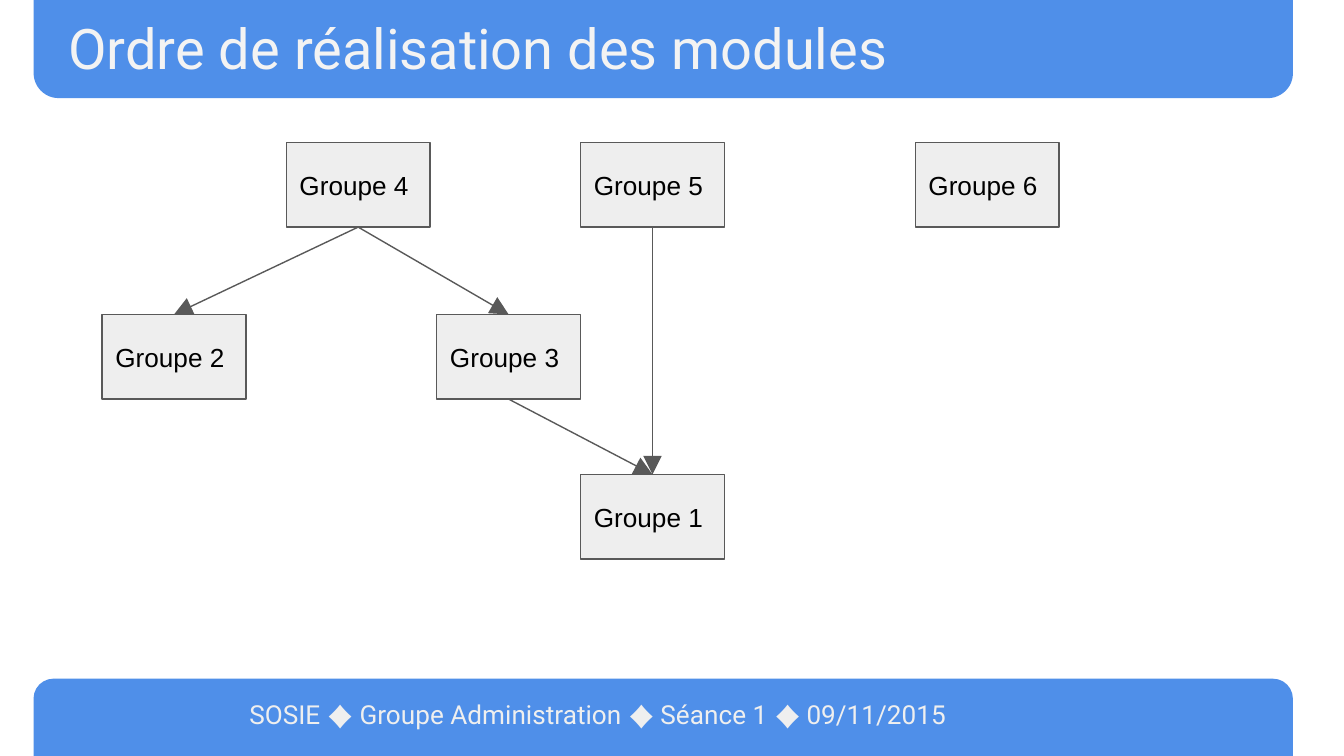
"""Build the slide showing the order in which the module groups are realised."""
import lxml.etree
import pptx
import pptx.dml.color
import pptx.enum.shapes
import pptx.enum.text
import pptx.oxml.ns
import pptx.util

Inches = pptx.util.Inches
Pt = pptx.util.Pt
MSO_SHAPE = pptx.enum.shapes.MSO_SHAPE
ANCHOR = pptx.enum.text.MSO_ANCHOR
ALIGN = pptx.enum.text.PP_ALIGN
qn = pptx.oxml.ns.qn

TITLE = "Ordre de réalisation des modules"
FOOTER = " ♦ ".join(["SOSIE", "Groupe Administration", "Séance 1", "09/11/2015"])
ROWS = [
    (1.06, {"Groupe 4": 2.13, "Groupe 5": 4.32, "Groupe 6": 6.81}),
    (2.34, {"Groupe 2": 0.76, "Groupe 3": 3.25}),
    (3.53, {"Groupe 1": 4.32}),
]
ARROWS = [
    ("Groupe 4", "Groupe 2"),
    ("Groupe 4", "Groupe 3"),
    ("Groupe 5", "Groupe 1"),
    ("Groupe 3", "Groupe 1"),
]
BANDS = [(0, 0.73, 180), (5.05, 0.58, 0)]
GROUP_SIZE = (1.07, 0.63)

COLORS = {
    "band": "0E66E2",
    "title": "F3F3F3",
    "footer": "EFEFEF",
    "group": "EEEEEE",
    "line": "595959",
    "text": "000000",
}
FRAME_FORMAT = {
    "margin_left": Inches(0.1),
    "margin_top": Inches(0.1),
    "margin_right": Inches(0.1),
    "margin_bottom": Inches(0.1),
    "word_wrap": True,
    "auto_size": pptx.enum.text.MSO_AUTO_SIZE.NONE,
}
ARROWHEAD = {"type": "triangle", "w": "lg", "len": "lg"}


def rgb(name):
    return pptx.dml.color.RGBColor.from_string(COLORS[name])


def write(holder, text, font, size, color, align=ALIGN.LEFT, anchor=ANCHOR.TOP):
    frame = holder.text_frame
    frame.text = text
    for attribute, value in {**FRAME_FORMAT, "vertical_anchor": anchor}.items():
        setattr(frame, attribute, value)
    paragraph = frame.paragraphs[0]
    paragraph.alignment = align
    run_font = paragraph.runs[0].font
    for attribute, value in {"name": font, "size": Pt(size)}.items():
        setattr(run_font, attribute, value)
    run_font.color.rgb = rgb(color)


def add_block(slide, kind, box, fill):
    block = slide.shapes.add_shape(kind, *map(Inches, box))
    block.shadow.inherit = False
    block.fill.solid()
    block.fill.fore_color.rgb = rgb(fill)
    return block


def add_band(slide, top, height, rotation):
    band = add_block(slide, MSO_SHAPE.ROUND_2_SAME_RECTANGLE, (0.25, top, 9.37, height), "band")
    band.line.fill.background()
    band.rotation = rotation
    band.adjustments[0] = 0.255
    tint = band.fill._xPr.find(".//" + qn("a:srgbClr"))
    lxml.etree.SubElement(tint, qn("a:alpha"), val="73000")


def add_group(slide, label, left, top):
    group = add_block(slide, MSO_SHAPE.RECTANGLE, (left, top, *GROUP_SIZE), "group")
    group.line.color.rgb = rgb("line")
    group.line.width = Pt(0.75)
    write(group, label, "Arial", 14, "text", anchor=ANCHOR.MIDDLE)
    return group


def add_arrow(slide, source, target):
    arrow = slide.shapes.add_connector(pptx.enum.shapes.MSO_CONNECTOR.STRAIGHT, 0, 0, 0, 0)
    arrow.begin_connect(source, 2)
    arrow.end_connect(target, 0)
    arrow.line.color.rgb = rgb("line")
    arrow.line.width = Pt(0.75)
    lxml.etree.SubElement(arrow.line._get_or_add_ln(), qn("a:tailEnd"), ARROWHEAD)
    lxml.etree.SubElement(arrow._element.spPr, qn("a:effectLst"))


def main():
    deck = pptx.Presentation()
    deck.slide_width = Inches(10)
    deck.slide_height = deck.slide_width * 9 // 16
    slide = deck.slides.add_slide(deck.slide_layouts[5])

    for band in BANDS:
        add_band(slide, *band)
    footer = slide.shapes.add_textbox(*map(Inches, (0.43, 5.1, 8.04, 0.43)))
    write(footer, FOOTER, "Roboto", 14, "footer", ALIGN.CENTER)

    title = slide.shapes.title
    title.left, title.top, title.width, title.height = map(Inches, (0.41, 0, 9.32, 0.63))
    write(title, TITLE, "Roboto", 30, "title")
    slide.shapes._spTree.append(title._element)

    groups = {
        label: add_group(slide, label, left, top)
        for top, lefts in ROWS
        for label, left in lefts.items()
    }
    for source, target in ARROWS:
        add_arrow(slide, groups[source], groups[target])

    deck.save("out.pptx")


if __name__ == "__main__":
    main()
